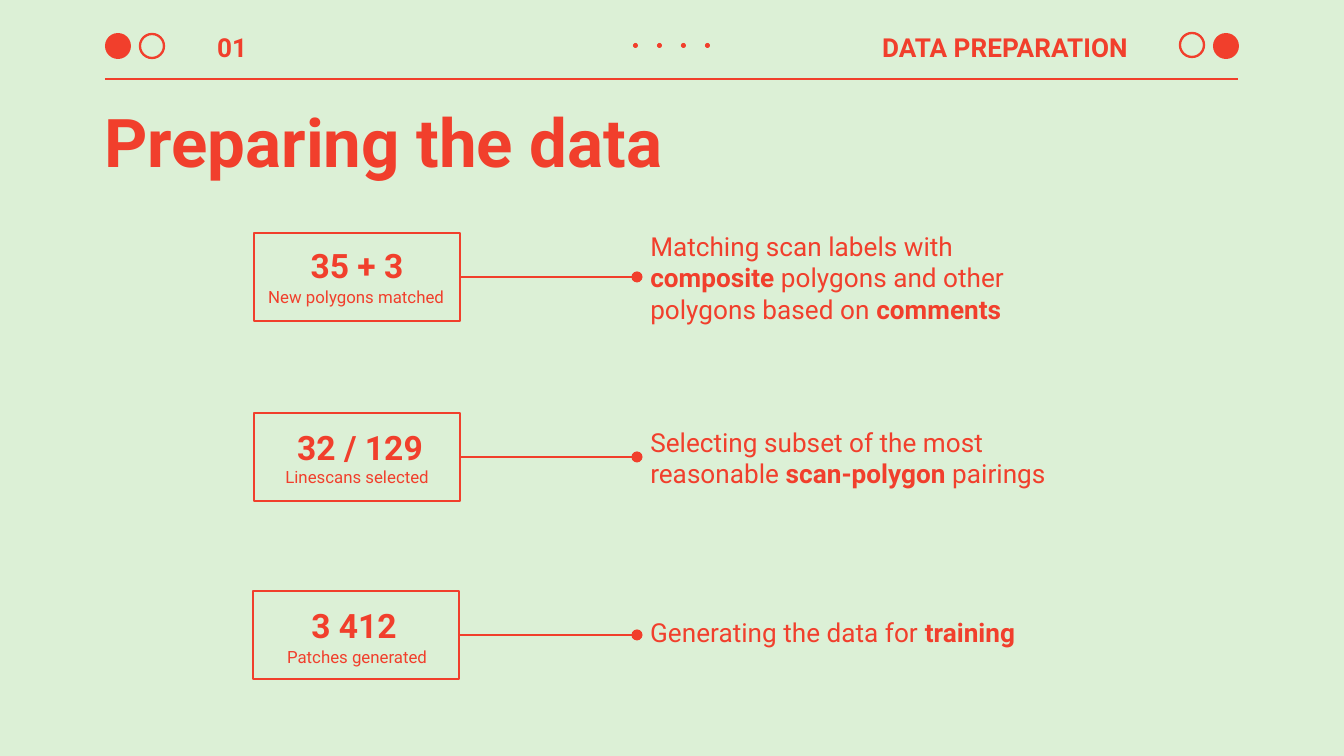
from dataclasses import dataclass

import lxml.etree
import pptx
import pptx.dml.color
import pptx.enum.shapes
import pptx.enum.text
import pptx.oxml.ns
import pptx.util

SCALE = 914400 / 134.4
FONT = "Roboto"
HUES = {"mint": "DCF0D6", "red": "F13F2C"}
RED = pptx.dml.color.RGBColor.from_string(HUES["red"])
ALIGN = pptx.enum.text.PP_ALIGN
ANCHOR = pptx.enum.text.MSO_ANCHOR
KIND = pptx.enum.shapes.MSO_SHAPE
qn = pptx.oxml.ns.qn

FRAME = {f"margin_{side}": pptx.util.Inches(0.1)
         for side in ("left", "top", "right", "bottom")}
FRAME["word_wrap"] = True


@dataclass(frozen=True)
class Style:
    size: int
    bold: bool = False
    align: int = ALIGN.LEFT
    anchor: int = ANCHOR.TOP


@dataclass(frozen=True)
class Disc:
    left: int
    top: int
    size: int
    solid: bool


@dataclass(frozen=True)
class Step:
    left: int
    mid: int
    count: str
    count_box: tuple[int, int, int]    # left, top, width
    label: str
    label_box: tuple[int, int, int]
    note: tuple[tuple[str, bool], ...]  # text, bold
    note_size: tuple[int, int]


HEAD = Style(14, True, anchor=ANCHOR.MIDDLE)
HEAD_END = Style(14, True, ALIGN.RIGHT, ANCHOR.MIDDLE)
TITLE = Style(36, True)
COUNT = Style(18, True, ALIGN.CENTER)
LABEL = Style(9, align=ALIGN.CENTER)
NOTE = Style(14)

CARD_W, CARD_H, NOTE_X = 206, 88, 637

DISCS = [
    Disc(105, 33, 26, True), Disc(140, 34, 24, False),
    Disc(1180, 33, 24, False), Disc(1213, 33, 26, True),
] + [Disc(633 + 24 * i, 43, 5, True) for i in range(4)]

STEPS = [
    Step(254, 277, "35 + 3", (254, 231, 206),
         "New polygons matched", (253, 277, 206),
         (("Matching scan labels with ", False), ("composite", True),
          (" polygons and other polygons based on ", False), ("comments", True)),
         (382, 120)),
    Step(254, 457, "32 / 129", (280, 413, 160),
         "Linescans selected", (254, 457, 206),
         (("Selecting subset of the most reasonable ", False),
          ("scan-polygon", True), (" pairings", False)),
         (422, 88)),
    Step(253, 635, "3 412", (251, 591, 206),
         "Patches generated", (254, 637, 206),
         (("Generating the data for ", False), ("training", True)),
         (456, 64)),
]


def px(num: float) -> int:
    return round(num * SCALE)


def apply(target, values: dict) -> None:
    for name, value in values.items():
        setattr(target, name, value)


def add_text(slide, box: tuple[int, int, int, int],
             runs: tuple[tuple[str, bool], ...], style: Style):
    shape = slide.shapes.add_textbox(*map(px, box))
    frame = shape.text_frame
    apply(frame, FRAME | {"vertical_anchor": style.anchor})
    para = frame.paragraphs[0]
    para.alignment = style.align
    for text, bold in runs:
        run = para.add_run()
        run.text = text
        apply(run.font, {"name": FONT, "size": pptx.util.Pt(style.size), "bold": bold})
        run.font.color.rgb = RED
    return shape


def add_plain(slide, box: tuple[int, int, int, int], text: str, style: Style):
    return add_text(slide, box, ((text, style.bold),), style)


def set_line(line, width: float) -> None:
    line.color.rgb = RED
    line.width = pptx.util.Pt(width)


def add_shape(slide, kind, box: tuple[int, int, int, int],
              solid: bool, width: float = 0.75):
    shape = slide.shapes.add_shape(kind, *map(px, box))
    shape.shadow.inherit = False
    if solid:
        shape.fill.solid()
        shape.fill.fore_color.rgb = RED
        shape.line.fill.background()
    else:
        shape.fill.background()
        set_line(shape.line, width)
    return shape


def add_line(slide, start: tuple[int, int], end: tuple[int, int]):
    line = slide.shapes.add_connector(
        pptx.enum.shapes.MSO_CONNECTOR.STRAIGHT, *map(px, start + end))
    set_line(line.line, 0.75)
    lxml.etree.SubElement(line._element.spPr, qn("a:effectLst"))
    return line


def add_step(slide, step: Step) -> None:
    top = step.mid - CARD_H // 2
    card = add_shape(slide, KIND.RECTANGLE, (step.left, top, CARD_W, CARD_H), False)
    wide, high = step.note_size
    note = add_text(slide, (NOTE_X, step.mid - high // 2, wide, high), step.note, NOTE)

    # Link from card to note, with a round end
    link = add_line(slide, (step.left + CARD_W, step.mid), (NOTE_X, step.mid))
    link.begin_connect(card, 3)
    link.end_connect(note, 1)
    lxml.etree.SubElement(link.line._get_or_add_ln(), qn("a:tailEnd"), type="oval")

    add_plain(slide, (*step.label_box, 32), step.label, LABEL)
    add_plain(slide, (*step.count_box, 54), step.count, COUNT)


def main() -> None:
    deck = pptx.Presentation()
    apply(deck, {"slide_width": px(1344), "slide_height": px(756)})
    slide = deck.slides.add_slide(deck.slide_layouts[6])
    back = slide.background.fill
    back.solid()
    back.fore_color.rgb = pptx.dml.color.RGBColor.from_string(HUES["mint"])

    # Header band
    add_line(slide, (105, 79), (1238, 79))
    add_plain(slide, (204, 22, 145, 50), "01", HEAD)
    add_plain(slide, (867, 22, 274, 50), "DATA PREPARATION", HEAD_END)
    for disc in DISCS:
        add_shape(slide, KIND.OVAL, (disc.left, disc.top, disc.size, disc.size),
                  disc.solid, 1.25)

    # Title
    add_plain(slide, (91, 87, 1148, 95), "Preparing the data", TITLE)

    # Steps
    for step in STEPS:
        add_step(slide, step)

    deck.save("out.pptx")


if __name__ == "__main__":
    main()
